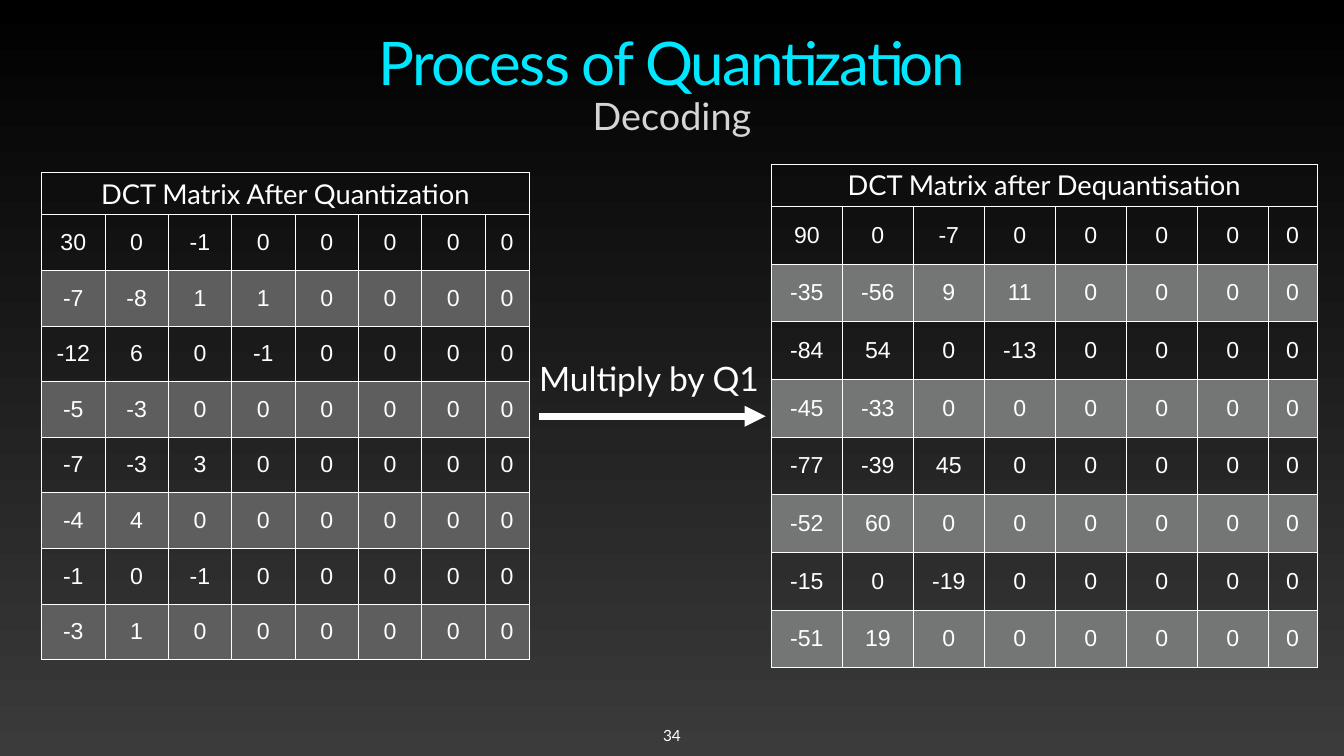
from dataclasses import dataclass

from lxml import etree
from pptx import Presentation
from pptx.dml.color import RGBColor
from pptx.enum.shapes import MSO_CONNECTOR
from pptx.enum.text import MSO_ANCHOR, MSO_AUTO_SIZE, PP_ALIGN
from pptx.oxml.ns import qn
from pptx.util import Pt

STRAIGHT = MSO_CONNECTOR.STRAIGHT
TOP, MIDDLE, BOTTOM = MSO_ANCHOR.TOP, MSO_ANCHOR.MIDDLE, MSO_ANCHOR.BOTTOM
LEFT, CENTER = PP_ALIGN.LEFT, PP_ALIGN.CENTER
NO_AUTOFIT = MSO_AUTO_SIZE.NONE

QUANTIZED = [
    [30, 0, -1, 0, 0, 0, 0, 0],
    [-7, -8, 1, 1, 0, 0, 0, 0],
    [-12, 6, 0, -1, 0, 0, 0, 0],
    [-5, -3, 0, 0, 0, 0, 0, 0],
    [-7, -3, 3, 0, 0, 0, 0, 0],
    [-4, 4, 0, 0, 0, 0, 0, 0],
    [-1, 0, -1, 0, 0, 0, 0, 0],
    [-3, 1, 0, 0, 0, 0, 0, 0],
]
DEQUANTIZED = [
    [90, 0, -7, 0, 0, 0, 0, 0],
    [-35, -56, 9, 11, 0, 0, 0, 0],
    [-84, 54, 0, -13, 0, 0, 0, 0],
    [-45, -33, 0, 0, 0, 0, 0, 0],
    [-77, -39, 45, 0, 0, 0, 0, 0],
    [-52, 60, 0, 0, 0, 0, 0, 0],
    [-15, 0, -19, 0, 0, 0, 0, 0],
    [-51, 19, 0, 0, 0, 0, 0, 0],
]


@dataclass(frozen=True)
class Theme:
    heading_font: str = "Lato"
    number_font: str = "Arial"
    backdrop_top: str = "000000"
    backdrop_bottom: str = "3B3B3B"
    accent: str = "00E8FF"
    muted: str = "D5D5D5"
    light: str = "FFFFFF"
    left_band: str = "5E5E5E"
    right_band: str = "747676"
    title_size: float = 85.8
    subtitle_size: float = 54
    label_size: float = 48
    header_size: float = 39
    value_size: float = 33
    page_size: float = 22
    inset: float = 4
    border: float = 1
    arrow: float = 10


class SlideBuilder:
    def __init__(self, slide, theme):
        self.slide = slide
        self.theme = theme

    def backdrop(self):
        fill = self.slide.background.fill
        fill.gradient()
        fill.gradient_angle = 270
        colors = (self.theme.backdrop_top, self.theme.backdrop_bottom)
        for stop, color in zip(fill.gradient_stops, colors):
            stop.color.rgb = RGBColor.from_string(color)

    def add_words(self, frame, text, size, color, font_name, align=CENTER):
        paragraph = frame.paragraphs[0]
        paragraph.alignment = align
        paragraph.space_before = Pt(0)
        run = paragraph.add_run()
        run.text = text
        run.font.size = Pt(size)
        run.font.name = font_name
        run.font.color.rgb = RGBColor.from_string(color)
        return paragraph, run

    def fit(self, frame, anchor, wrap):
        frame.auto_size = NO_AUTOFIT
        frame.word_wrap = wrap
        frame.vertical_anchor = anchor
        inset = Pt(self.theme.inset)
        frame.margin_left = frame.margin_right = inset
        frame.margin_top = frame.margin_bottom = inset

    def heading(self, placeholder, box, text, size, color, anchor):
        placeholder.left, placeholder.top, placeholder.width, placeholder.height = map(Pt, box)
        self.fit(placeholder.text_frame, anchor, True)
        return self.add_words(placeholder.text_frame, text, size, color,
                              self.theme.heading_font)

    def label(self, box, text, size, anchor, align):
        frame = self.slide.shapes.add_textbox(*map(Pt, box)).text_frame
        self.fit(frame, anchor, False)
        self.add_words(frame, text, size, self.theme.light, self.theme.heading_font, align)

    def arrow(self, start, end):
        connector = self.slide.shapes.add_connector(STRAIGHT, *map(Pt, start + end))
        connector.line.width = Pt(self.theme.arrow)
        connector.line.color.rgb = RGBColor.from_string(self.theme.light)
        properties = connector._element.spPr
        etree.SubElement(properties.find(qn("a:ln")), qn("a:tailEnd"), type="triangle")
        etree.SubElement(properties, qn("a:effectLst"))

    def style_cell(self, cell, inset, band=None):
        cell.vertical_anchor = MIDDLE
        cell.margin_left = cell.margin_right = Pt(inset)
        cell.margin_top = cell.margin_bottom = Pt(inset)
        properties = cell._tc.get_or_add_tcPr()
        for side in ("lnL", "lnR", "lnT", "lnB"):
            edge = etree.SubElement(properties, qn(f"a:{side}"), w=str(Pt(self.theme.border)))
            solid = etree.SubElement(edge, qn("a:solidFill"))
            etree.SubElement(solid, qn("a:srgbClr"), val=self.theme.light)
        if band:
            cell.fill.solid()
            cell.fill.fore_color.rgb = RGBColor.from_string(band)
        else:
            cell.fill.background()

    def matrix(self, position, header, values, column_width, last_width, row_height, band):
        theme = self.theme
        header_height = 60
        widths = [column_width] * (len(values[0]) - 1) + [last_width]
        heights = [header_height] + [row_height] * len(values)
        size = (sum(widths), sum(heights))
        table = self.slide.shapes.add_table(
            len(heights), len(widths), *map(Pt, position + size)).table
        table.first_row = table.horz_banding = False
        for column, width in zip(table.columns, widths):
            column.width = Pt(width)
        for row, height in zip(table.rows, heights):
            row.height = Pt(height)
        for cell in table.rows[0].cells:
            self.style_cell(cell, theme.inset)
        table.cell(0, 0).merge(table.cell(0, len(widths) - 1))
        self.add_words(table.cell(0, 0).text_frame, header, theme.header_size,
                       theme.light, theme.heading_font)
        for row_index, row_values in enumerate(values, start=1):
            for column_index, value in enumerate(row_values):
                cell = table.cell(row_index, column_index)
                self.style_cell(cell, 0, band if row_index % 2 == 0 else None)
                self.add_words(cell.text_frame, str(value), theme.value_size,
                               theme.light, theme.number_font)


def main():
    theme = Theme()
    presentation = Presentation()
    presentation.slide_width = Pt(1920)
    presentation.slide_height = Pt(1080)
    slide = presentation.slides.add_slide(presentation.slide_layouts[0])
    builder = SlideBuilder(slide, theme)
    builder.backdrop()

    title, subtitle = slide.placeholders
    title_paragraph, title_run = builder.heading(
        title, (100, 22.3, 1720, 122.4), "Process of Quantization",
        theme.title_size, theme.accent, BOTTOM)
    title_paragraph.line_spacing = 0.9
    title_run.font._element.set("spc", "-260")
    builder.heading(subtitle, (100, 128, 1720, 80), "Decoding",
                    theme.subtitle_size, theme.muted, TOP)

    builder.matrix((59.5, 246.5), "DCT Matrix After Quantization", QUANTIZED,
                   90.5, 62.7, 79.5, theme.left_band)
    builder.arrow((770.4, 594.7), (1093.7, 594.7))
    builder.label((766, 504, 326, 71.3), "Multiply by Q1", theme.label_size, MIDDLE, LEFT)
    builder.matrix((1102, 234.7), "DCT Matrix after Dequantisation", DEQUANTIZED,
                   101.4, 69.4, 82.4, theme.right_band)
    builder.label((942, 1030.3, 36, 36.7), "34", theme.page_size, BOTTOM, CENTER)

    presentation.save("out.pptx")


if __name__ == "__main__":
    main()
